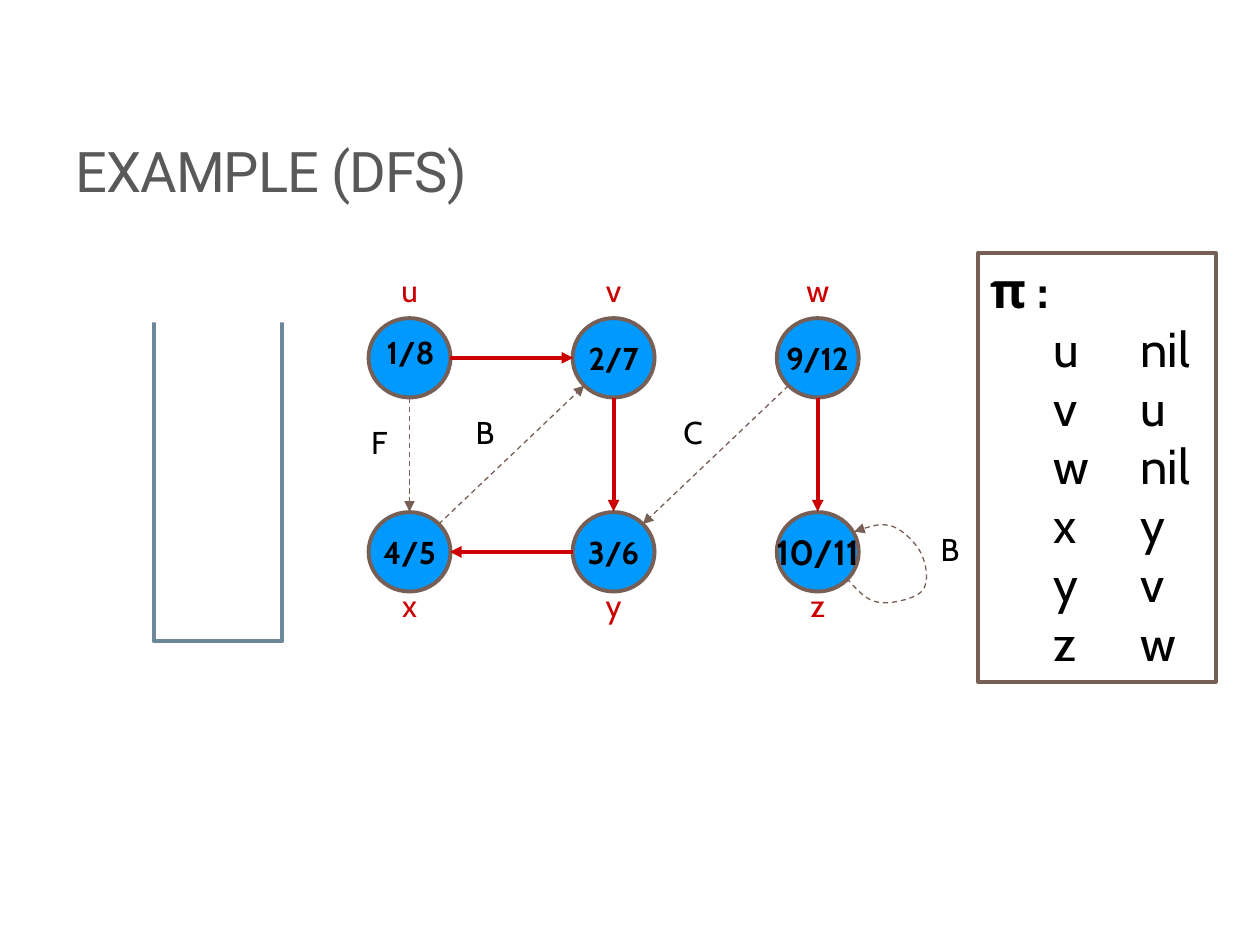
from math import hypot

from lxml import etree
from pptx import Presentation
from pptx.dml.color import RGBColor
from pptx.enum.dml import MSO_LINE
from pptx.enum.shapes import MSO_CONNECTOR, MSO_SHAPE
from pptx.enum.text import MSO_ANCHOR, PP_ALIGN
from pptx.oxml.ns import qn
from pptx.util import Inches, Pt

BLACK = RGBColor(0x00, 0x00, 0x00)
WHITE = RGBColor(0xFF, 0xFF, 0xFF)
GRAY = RGBColor(0x59, 0x59, 0x59)
BLUE = RGBColor(0x00, 0x99, 0xFF)
BROWN = RGBColor(0x77, 0x5F, 0x55)
RED = RGBColor(0xCC, 0x00, 0x00)
STEEL = RGBColor(0x6D, 0x87, 0x9B)
DASH = MSO_LINE.DASH
RECT, OVAL = MSO_SHAPE.RECTANGLE, MSO_SHAPE.OVAL
LEFT, CENTER = PP_ALIGN.LEFT, PP_ALIGN.CENTER
TOP, MIDDLE, BOTTOM = MSO_ANCHOR.TOP, MSO_ANCHOR.MIDDLE, MSO_ANCHOR.BOTTOM

# name: column, row, times, text size
NODES = {
    "u": (0, 0, "1/8", 18), "v": (1, 0, "2/7", 18), "w": (2, 0, "9/12", 18),
    "x": (0, 1, "4/5", 18), "y": (1, 1, "3/6", 18), "z": (2, 1, "10/11", 20),
}
TREE = ["uv", "vy", "yx", "wz"]
OTHER = ["ux", "xv", "wy"]
# text, centre x, top
KINDS = [("B", 3.85, 3.23), ("F", 3.01, 3.31), ("C", 5.5, 3.23), ("B", 7.54, 4.16)]
PARENTS = [("u", "nil"), ("v", "u"), ("w", "nil"), ("x", "y"), ("y", "v"), ("z", "w")]

# self-loop of z, in hundredths of an inch: start, then two handles and an end
START = (672, 459)
CURVES = [
    [(680, 468), (688, 477), (697, 478)], [(707, 480), (727, 475), (732, 469)],
    [(738, 462), (735, 447), (731, 439)], [(727, 431), (717, 421), (709, 418)],
    [(700, 415), (689, 418), (678, 422)],
]

X0, Y0, DX, DY = 3.25, 2.84, 1.62, 1.54
WIDE, HIGH, REACH = 0.65, 0.63, 0.32
NAME_TOPS = (2.1, 4.6)

prs = Presentation()
prs.slide_width, prs.slide_height = Inches(10), Inches(7.5)
slide = prs.slides.add_slide(prs.slide_layouts[5])
shapes = slide.shapes


def add_run(para, text, size, color=BLACK, bold=False, face="Cabin"):
    run = para.add_run()
    run.text = text
    font = run.font
    font.name, font.size, font.bold = face, Pt(size), bold
    font.color.rgb = color
    return run


def add_box(kind, left, top, wide, high, fill=None, line=None):
    box = shapes.add_shape(kind, *map(Inches, (left, top, wide, high)))
    box.shadow.inherit = False
    if fill is None:
        box.fill.background()
    else:
        box.fill.solid()
        box.fill.fore_color.rgb = fill
    if line is None:
        box.line.fill.background()
    else:
        box.line.color.rgb, box.line.width = line, Pt(2.25)
    return box


def add_label(text, mid, top, color=BLACK, bold=False, wide=0.42):
    box = shapes.add_textbox(*map(Inches, (mid - wide / 2, top, wide, 0.5)))
    box.text_frame.word_wrap = False
    para = box.text_frame.paragraphs[0]
    para.alignment = CENTER
    add_run(para, text, 18, color, bold)


def style_arrow(shape, color, width, dash=None):
    line = shape.line
    line.color.rgb, line.width = color, Pt(width)
    if dash:
        line.dash_style = dash
    etree.SubElement(line._get_or_add_ln(), qn("a:tailEnd"), type="triangle")


def centre(name):
    col, row = NODES[name][:2]
    return X0 + col * DX, Y0 + row * DY


def add_edge(pair, *style):
    """Draw an arrow between the rims of two nodes."""
    (ax, ay), (bx, by) = map(centre, pair)
    span = hypot(bx - ax, by - ay)
    sx, sy = REACH * (bx - ax) / span, REACH * (by - ay) / span
    ends = map(Inches, (ax + sx, ay + sy, bx - sx, by - sy))
    edge = shapes.add_connector(MSO_CONNECTOR.STRAIGHT, *ends)
    style_arrow(edge, *style)
    etree.SubElement(edge._element.spPr, qn("a:effectLst"))


def add_loop():
    """Draw the self-loop, turning each straight segment into a curve."""
    ends = [curve[-1] for curve in CURVES]
    pen = shapes.build_freeform(*START, scale=Inches(0.01))
    pen.add_line_segments(ends, close=False)
    loop = pen.convert_to_shape()
    loop.shadow.inherit = False
    loop.fill.background()
    left, top = map(min, zip(START, *ends))
    for seg, curve in zip(list(loop._element.iter(qn("a:lnTo"))), CURVES):
        bend = etree.Element(qn("a:cubicBezTo"))
        for x, y in curve:
            etree.SubElement(bend, qn("a:pt"), x=str(x - left), y=str(y - top))
        seg.getparent().replace(seg, bend)
    style_arrow(loop, BROWN, 0.75, DASH)


title = shapes.title
title.left, title.top, title.width, title.height = map(Inches, (0.5, 0.17, 8.33, 1.5))
title.text_frame.vertical_anchor = BOTTOM
head = title.text_frame.paragraphs[0]
head.alignment = LEFT
add_run(head, "EXAMPLE (DFS)", 32, GRAY, face="Roboto").font._element.set("spc", "-60")

for name, (col, row, times, size) in NODES.items():
    x, y = centre(name)
    node = add_box(OVAL, x - WIDE / 2, y - HIGH / 2, WIDE, HIGH, BLUE, BROWN)
    if name == "u":
        add_label(times, x + 0.01, 2.59, bold=True, wide=0.8)
    else:
        frame = node.text_frame
        frame.word_wrap, frame.vertical_anchor = False, MIDDLE
        frame.paragraphs[0].alignment = CENTER
        add_run(frame.paragraphs[0], times, size, bold=True)
    add_label(name, x, NAME_TOPS[row], RED)

for pair in TREE:
    add_edge(pair, RED, 2.25)
for pair in OTHER:
    add_edge(pair, BROWN, 0.75, DASH)
add_loop()
for kind in KINDS:
    add_label(*kind)

frame = add_box(RECT, 7.76, 2.01, 1.89, 3.4, line=BROWN).text_frame
frame.word_wrap, frame.vertical_anchor = True, TOP
first = frame.paragraphs[0]
first.alignment = LEFT
add_run(first, "π :", 28, bold=True)
for child, parent in PARENTS:
    para = frame.add_paragraph()
    para.alignment = LEFT
    # a hanging indent: the tab leads to the left margin
    props = para._p.get_or_add_pPr()
    props.set("marL", str(Inches(1.2)))
    props.set("indent", str(Inches(-0.7)))
    add_run(para, f"{child}\t{parent}", 28)

# stack: a frame whose upper side is covered
add_box(RECT, 1.22, 2.49, 1.02, 2.6, line=STEEL)
add_box(RECT, 0.91, 2.25, 1.42, 0.31, fill=WHITE)

prs.save("out.pptx")
